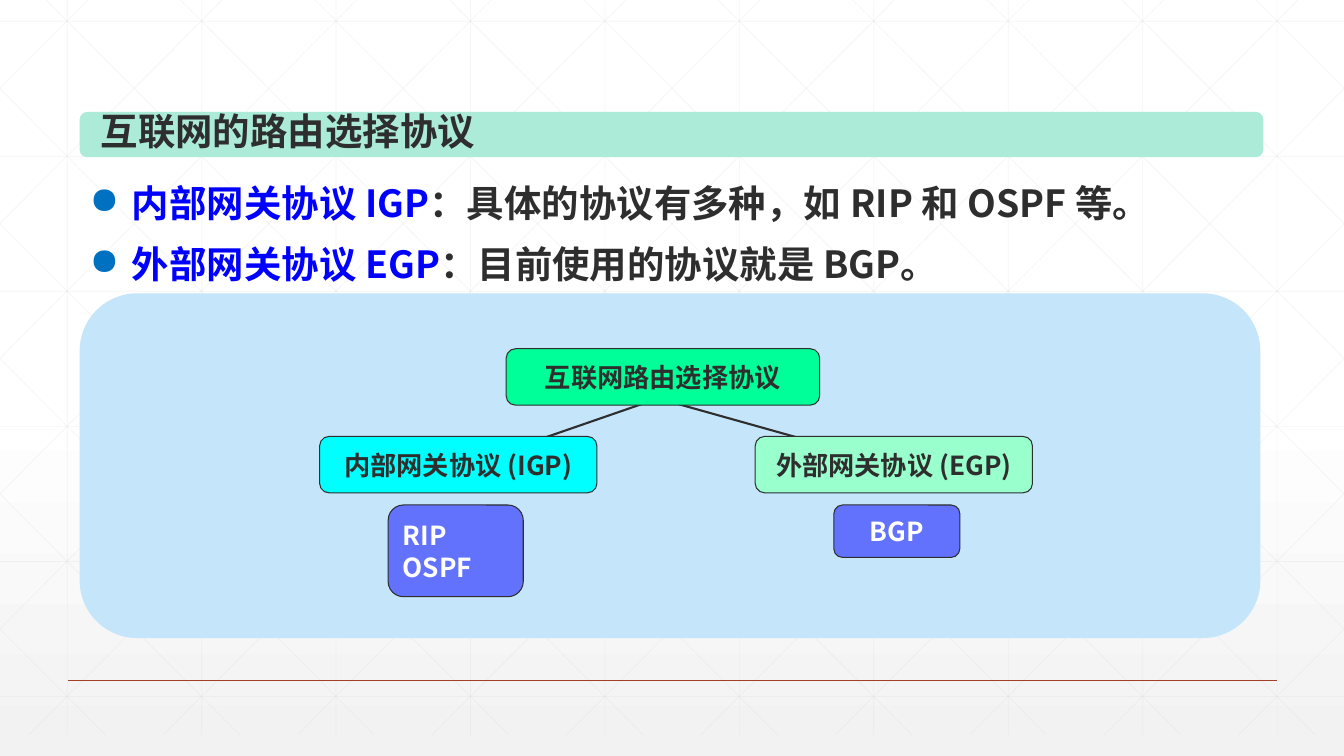
from copy import deepcopy

from lxml import etree
from pptx import Presentation
from pptx.dml.color import RGBColor
from pptx.enum.shapes import MSO_CONNECTOR, MSO_SHAPE
from pptx.enum.text import MSO_ANCHOR, PP_ALIGN
from pptx.oxml.ns import qn
from pptx.util import Inches, Pt

STRAIGHT = MSO_CONNECTOR.STRAIGHT
ROUNDED = MSO_SHAPE.ROUNDED_RECTANGLE
MIDDLE = MSO_ANCHOR.MIDDLE
LEFT, CENTER = PP_ALIGN.LEFT, PP_ALIGN.CENTER

FONT = "Noto Sans CJK SC"
WIDTH, HEIGHT = 13.33, 7.5
DARK, BLUE, WHITE = "2D2E2D", "0000FF", "FFFFFF"


def rgb(color):
    return RGBColor.from_string(color)


def set_alpha(fill_parent, percent):
    color = fill_parent.find(".//" + qn("a:srgbClr"))
    etree.SubElement(color, qn("a:alpha"), val=str(percent * 1000))


def style_font(p, size, color=None):
    p.font.size = Pt(size)
    p.font.bold = True
    p.font.name = FONT
    if color:
        p.font.color.rgb = rgb(color)
    defaults = p.font._element if hasattr(p.font, "_element") else p._p.pPr.find(qn("a:defRPr"))
    etree.SubElement(defaults, qn("a:ea"), typeface=FONT)


def add_line(slide, x1, y1, x2, y2, color, width, alpha=None):
    line = slide.shapes.add_connector(
        STRAIGHT, Inches(x1), Inches(y1), Inches(x2), Inches(y2))
    line.line.color.rgb = rgb(color)
    line.line.width = Pt(width)
    sp_pr = line._element.spPr
    if alpha:
        set_alpha(sp_pr, alpha)
    etree.SubElement(sp_pr, qn("a:effectLst"))


def add_rounded(slide, x, y, w, h, fill, outline=None, adj=0.167, alpha=None):
    sp = slide.shapes.add_shape(ROUNDED, Inches(x), Inches(y), Inches(w), Inches(h))
    sp.shadow.inherit = False
    sp.adjustments[0] = adj
    sp.fill.solid()
    sp.fill.fore_color.rgb = rgb(fill)
    if alpha:
        set_alpha(sp._element.spPr, alpha)
    if outline:
        sp.line.color.rgb = rgb(outline)
        sp.line.width = Pt(0.75)
    else:
        sp.line.fill.background()
    return sp


def add_background(slide):
    fill = slide.background.fill
    fill.gradient()
    fill.gradient_angle = 270
    stop_list = slide.element.find(".//" + qn("a:gsLst"))
    stop_list.insert(1, deepcopy(stop_list[0]))
    stops = zip(fill.gradient_stops, (0, 0.53, 1), (WHITE, WHITE, "F2F2F2"))
    for stop, position, color in stops:
        stop.position = position
        stop.color.rgb = rgb(color)


def add_grid(slide, top, bottom):
    """Faint squares with both diagonals, cut at the slide's sides."""
    def grid_line(*ends):
        add_line(slide, *ends, "D9D9D9", 0.5, alpha=25)

    step = 4 / 3
    for i in range(10):
        x = step * (i + 0.5)
        grid_line(x, top, x, bottom)
    for i in range(6):
        y = 0.21 + 1.34 * i
        grid_line(0, y, WIDTH, y)
    run = 7.46
    slope = (bottom - top) / run
    for i in range(-5, 10):
        start = 0.25 + step * i
        x1, x2 = max(start, 0), min(start + run, WIDTH)
        y1, y2 = (top + slope * (x - start) for x in (x1, x2))
        grid_line(x1, y1, x2, y2)
        grid_line(WIDTH - x1, y1, WIDTH - x2, y2)


def add_title(slide, x, y, w, h):
    add_rounded(slide, x, y, w, h, "ABEBD7")
    tf = slide.shapes.add_textbox(
        Inches(x + 0.11), Inches(y - 0.09), Inches(3.94), Inches(0.55)).text_frame
    tf.word_wrap = False
    p = tf.paragraphs[0]
    p.text = "互联网的路由选择协议"
    style_font(p, 26.7, DARK)


def add_bullets(slide, x, y, w, h):
    tf = slide.shapes.add_textbox(Inches(x), Inches(y), Inches(w), Inches(h)).text_frame
    tf.word_wrap = True
    items = [
        ("内部网关协议 IGP", "：具体的协议有多种，如 RIP 和 OSPF 等。"),
        ("外部网关协议 EGP", "：目前使用的协议就是 BGP。"),
    ]
    for i, (term, detail) in enumerate(items):
        p = tf.add_paragraph() if i else tf.paragraphs[0]
        p.line_spacing = Pt(44)
        p_pr = p._p.get_or_add_pPr()
        p_pr.set("marL", str(Inches(0.42)))
        p_pr.set("indent", str(-Inches(0.42)))
        bullet_color = etree.SubElement(p_pr, qn("a:buClr"))
        etree.SubElement(bullet_color, qn("a:srgbClr"), val="0070C0")
        etree.SubElement(p_pr, qn("a:buChar"), char="●")
        for text, color in ((term, BLUE), (detail, DARK)):
            r = p.add_run()
            r.text = text
            r.font.color.rgb = rgb(color)
        style_font(p, 26.7)


def add_protocol_tree(slide, x, y, w, h):
    add_rounded(slide, x, y, w, h, "C5E5FB", adj=0.1667)

    # Branches from the root to both families
    for x1, x2 in ((5.63, 4.3), (5.87, 7.51)):
        add_line(slide, x + x1, y + 1.08, x + x2, y + 1.54, DARK, 1.5)

    # Boxes: left, top, width, height, lines, fill, text colour, alignment, alpha
    boxes = [
        (3.06, 2.1, 1.34, 0.91, ["RIP", "OSPF"], BLUE, WHITE, LEFT, 50),
        (4.23, 0.55, 3.11, 0.56, ["互联网路由选择协议"], "00FF99", DARK, CENTER, None),
        (7.48, 2.1, 1.25, 0.52, ["BGP"], BLUE, WHITE, CENTER, 50),
        (6.7, 1.42, 2.75, 0.56, ["外部网关协议 (EGP)"], "99FFCC", DARK, CENTER, None),
        (2.38, 1.42, 2.75, 0.56, ["内部网关协议 (IGP)"], "00FFFF", DARK, CENTER, None),
    ]
    for left, top, bw, bh, lines, fill, color, align, alpha in boxes:
        sp = add_rounded(slide, x + left, y + top, bw, bh, fill, DARK, alpha=alpha)
        tf = sp.text_frame
        tf.word_wrap = False
        tf.vertical_anchor = MIDDLE
        for i, text in enumerate(lines):
            p = tf.add_paragraph() if i else tf.paragraphs[0]
            p.text = text
            p.alignment = align
            style_font(p, 18.7, color)


def main():
    prs = Presentation()
    prs.slide_width, prs.slide_height = Inches(WIDTH), Inches(HEIGHT)
    slide = prs.slides.add_slide(prs.slide_layouts[6])

    add_background(slide)
    add_grid(slide, -0.21, 7.29)
    add_line(slide, 0.67, 6.75, 12.67, 6.75, "A43F27", 1)  # footer rule
    add_protocol_tree(slide, 0.79, 2.91, 11.71, 3.42)
    add_title(slide, 0.79, 1.11, 11.74, 0.45)
    add_bullets(slide, 0.79, 1.57, 11.71, 1.27)

    prs.save("out.pptx")


if __name__ == "__main__":
    main()
